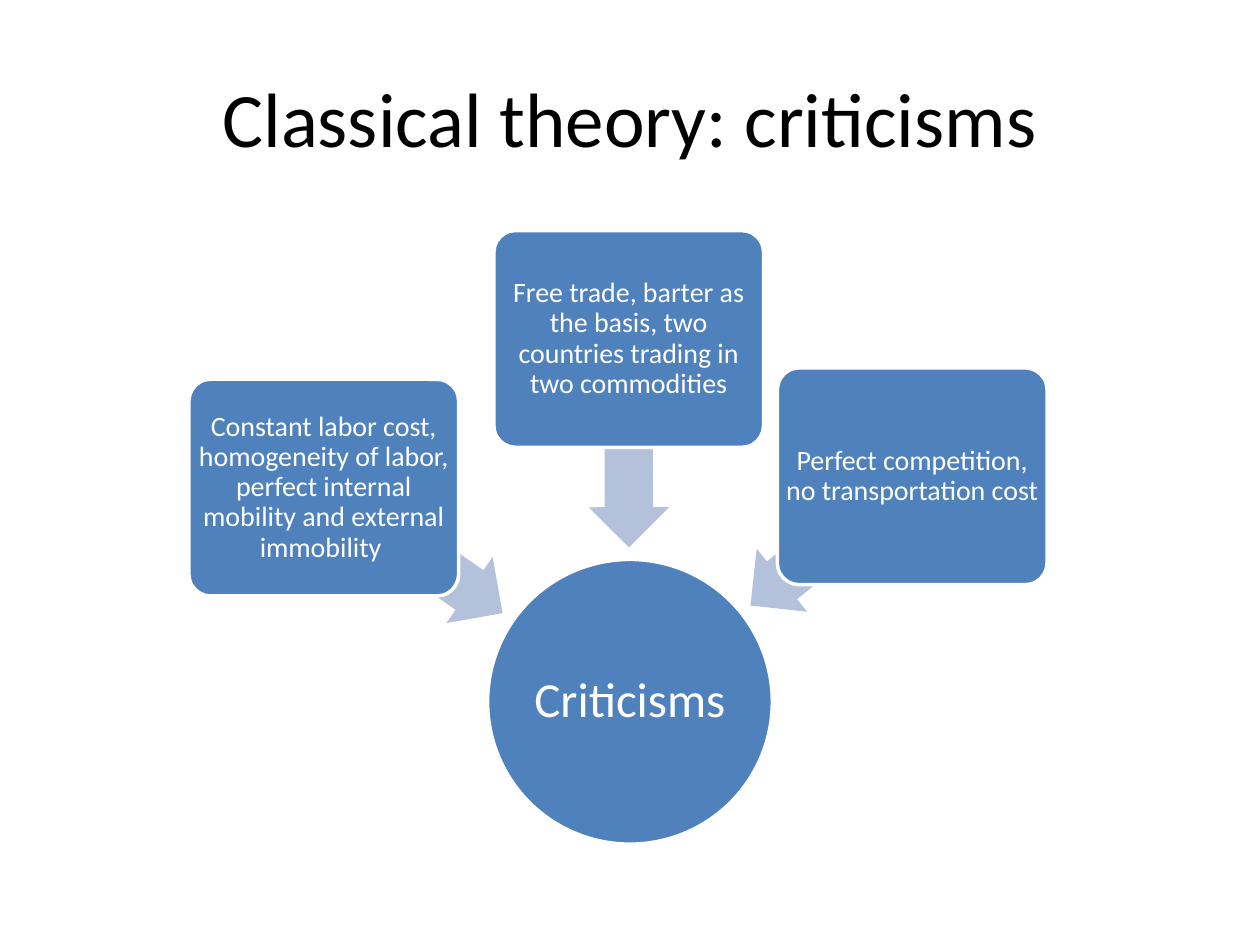
from pptx import Presentation
from pptx.dml.color import RGBColor
from pptx.enum.shapes import MSO_SHAPE
from pptx.enum.text import MSO_ANCHOR, PP_ALIGN
from pptx.util import Inches, Pt

OVAL, BOX, ARROW = MSO_SHAPE.OVAL, MSO_SHAPE.ROUNDED_RECTANGLE, MSO_SHAPE.LEFT_ARROW
MIDDLE, CENTER = MSO_ANCHOR.MIDDLE, PP_ALIGN.CENTER

THEME = {
    "font": "Calibri",
    "title": "000000", "text": "FFFFFF", "outline": "FFFFFF",
    "node": "4F81BD", "arrow": "B3C1DB",
    "title_size": 44, "hub_size": 28, "box_size": 16, "outline_width": 2,
}

TITLE = "Classical theory: criticisms"
HUB = {"text": "Criticisms", "center": (5, 5.57), "size": (2.26, 2.26)}
BOX_SIZE = (2.14, 1.72)
ARROW_HEIGHT = 0.64
CRITICISMS = [
    {"text": "Constant labor cost, homogeneity of labor, perfect internal "
             "mobility and external immobility ",
     "center": (2.57, 3.87),
     "arrow": {"center": (3.28, 4.37), "length": 1.73, "rotation": 215}},
    {"text": "Free trade, barter as the basis, two countries trading in two commodities",
     "center": (4.99, 2.69),
     "arrow": {"center": (4.99, 3.52), "length": 1.65, "rotation": 269.8}},
    {"text": "Perfect competition, no transportation cost ",
     "center": (7.24, 3.78),
     "arrow": {"center": (6.6, 4.29), "length": 1.65, "rotation": 321.3}},
]


def color(name):
    return RGBColor.from_string(THEME[name])


def write(shape, text, size, text_color):
    frame = shape.text_frame
    frame.text = text
    frame.word_wrap = True
    frame.vertical_anchor = MIDDLE
    paragraph = frame.paragraphs[0]
    paragraph.alignment = CENTER
    paragraph.font.name = THEME["font"]
    paragraph.font.size = Pt(THEME[size])
    paragraph.font.color.rgb = color(text_color)
    return paragraph


def add_centered(slide, kind, center, size, fill):
    """Add a filled preset shape around its center point."""
    left, top = (middle - extent / 2 for middle, extent in zip(center, size))
    shape = slide.shapes.add_shape(kind, *map(Inches, (left, top, *size)))
    shape.shadow.inherit = False
    shape.fill.solid()
    shape.fill.fore_color.rgb = color(fill)
    return shape


def add_node(slide, kind, center, size, text, text_size):
    node = add_centered(slide, kind, center, size, "node")
    node.line.color.rgb = color("outline")
    node.line.width = Pt(THEME["outline_width"])
    for side in ("left", "top", "right", "bottom"):
        setattr(node.text_frame, f"margin_{side}", 0)
    write(node, text, text_size, "text").line_spacing = 0.9
    return node


def add_arrow(slide, center, length, rotation):
    arrow = add_centered(slide, ARROW, center, (length, ARROW_HEIGHT), "arrow")
    arrow.line.fill.background()
    arrow.adjustments[0] = 0.6
    arrow.adjustments[1] = 0.5
    arrow.rotation = rotation


def main():
    presentation = Presentation()
    presentation.slide_width, presentation.slide_height = Inches(10), Inches(7.5)
    slide = presentation.slides.add_slide(presentation.slide_layouts[5])

    title = slide.shapes.title
    title.left, title.top = Inches(0.5), Inches(0.3)
    title.width, title.height = Inches(9), Inches(1.25)
    write(title, TITLE, "title_size", "title")

    add_node(slide, OVAL, HUB["center"], HUB["size"], HUB["text"], "hub_size")
    for criticism in CRITICISMS:
        add_arrow(slide, **criticism["arrow"])
        box = add_node(slide, BOX, criticism["center"], BOX_SIZE,
                       criticism["text"], "box_size")
        box.adjustments[0] = 0.1

    presentation.save("out.pptx")


if __name__ == "__main__":
    main()
